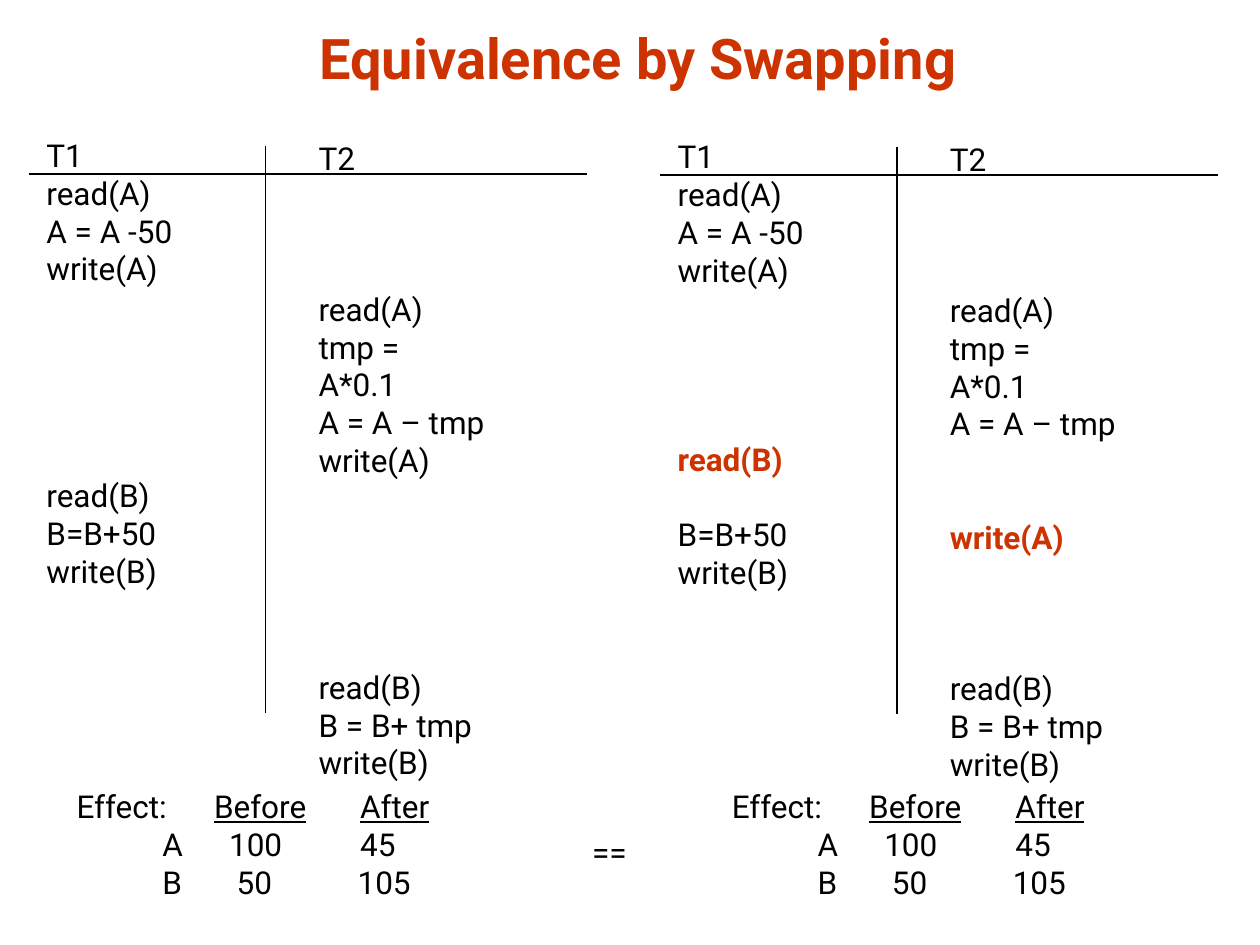
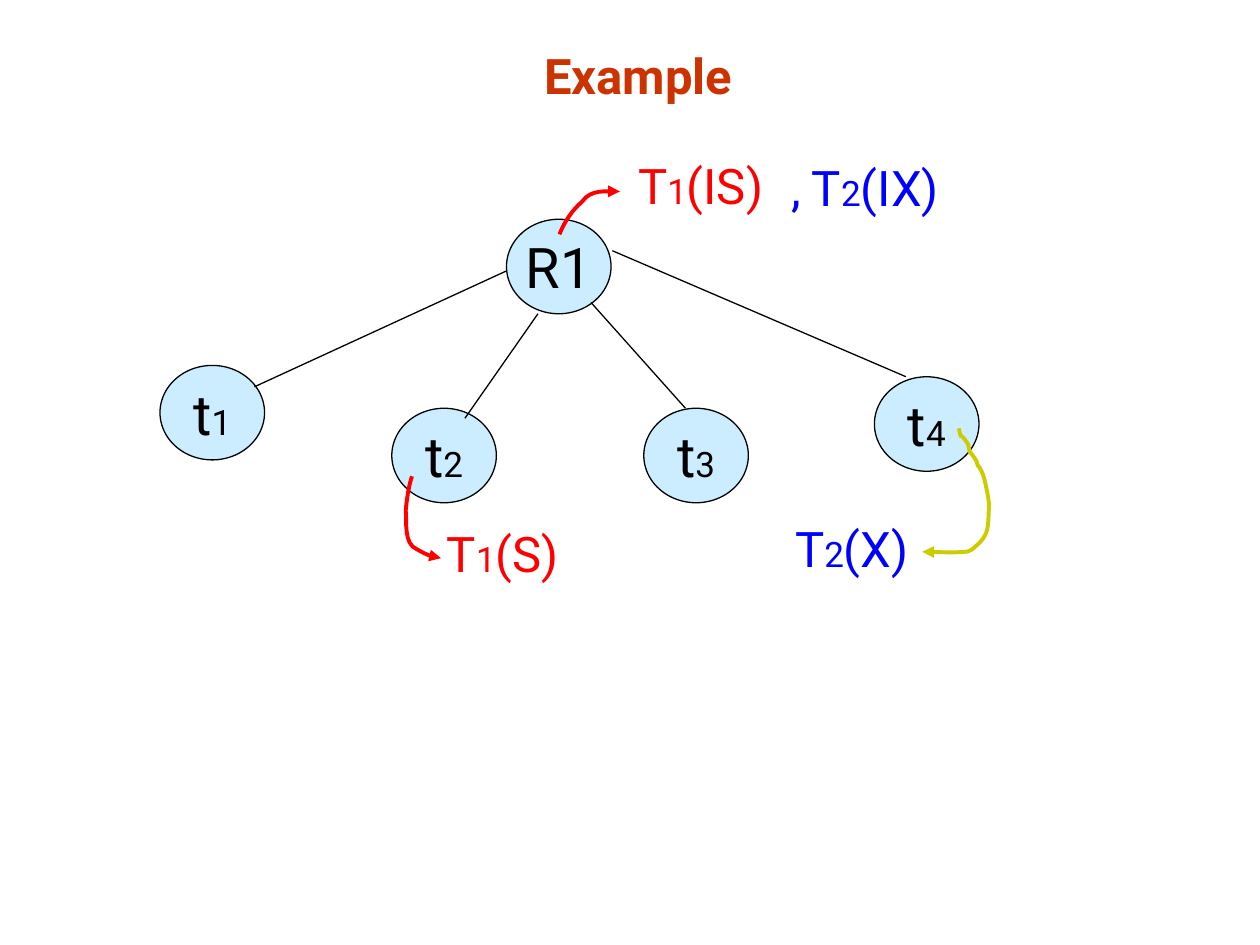
"""Builds two slides on database concurrency: swapping in schedules and intention locks."""
from dataclasses import dataclass

from lxml.etree import SubElement
from pptx import Presentation
from pptx.dml.color import RGBColor as Rgb
from pptx.enum.shapes import MSO_CONNECTOR as Connector, MSO_SHAPE as Preset
from pptx.enum.text import MSO_ANCHOR as Anchor, PP_ALIGN as Align
from pptx.oxml.ns import qn
from pptx.util import Inches, Pt


@dataclass(frozen=True)
class Theme:
    font: str = "Roboto"
    ink: Rgb = Rgb(0x00, 0x00, 0x00)
    accent: Rgb = Rgb(0xCC, 0x33, 0x00)
    node: Rgb = Rgb(0xCC, 0xEC, 0xFF)
    first: Rgb = Rgb(0xFF, 0x00, 0x00)
    second: Rgb = Rgb(0x00, 0x00, 0xFF)
    pointer: Rgb = Rgb(0xCC, 0xCC, 0x00)
    body: Pt = Pt(18)
    index: Pt = Pt(20)
    lock: Pt = Pt(28)
    big: Pt = Pt(32)
    pitch: float = 21.6
    thin: Pt = Pt(0.75)
    thick: Pt = Pt(2.25)


theme = Theme()
deck = Presentation()
deck.slide_width, deck.slide_height = Inches(10), Inches(7.5)
col, row = deck.slide_width // 100, deck.slide_height // 75
blank = deck.slide_layouts[6]


def write(slide, box, lines, align=Align.LEFT, anchor=Anchor.TOP, oval=False):
    """Add a text box or oval; each line is (rows skipped, tab stops, runs)."""
    left, top, width, height = box
    place = (round(left * col), round(top * row), round(width * col), round(height * row))
    holder = slide.shapes.add_shape(Preset.OVAL, *place) if oval else slide.shapes.add_textbox(*place)
    frame = holder.text_frame
    for name, value in {"word_wrap": not oval, "vertical_anchor": anchor}.items():
        setattr(frame, name, value)
    for number, (skipped, stops, runs) in enumerate(lines):
        paragraph = frame.add_paragraph() if number else frame.paragraphs[0]
        paragraph.alignment = align
        if stops:
            tab_list = SubElement(paragraph._p.get_or_add_pPr(), qn("a:tabLst"))
            for stop in stops:
                SubElement(tab_list, qn("a:tab"), pos=str(round(stop * col)), algn="l")
        if skipped:
            paragraph.space_before = Pt(skipped * theme.pitch)
        for text, size, color, extras in runs:
            for part, piece in enumerate(text.split("\v")):
                if part:
                    paragraph.add_line_break()
                run = paragraph.add_run()
                run.text = piece
                look = {"name": theme.font, "size": size, **extras}
                for name, value in look.items():
                    setattr(run.font, name, value)
                run.font.color.rgb = color
    return holder


def rule(slide, start_x, start_y, end_x, end_y):
    """Draw a thin straight line between two grid points."""
    line = slide.shapes.add_connector(
        Connector.STRAIGHT, round(start_x * col), round(start_y * row), round(end_x * col), round(end_y * row))
    line.line.color.rgb = theme.ink
    line.line.width = theme.thin
    SubElement(line.element.spPr, qn("a:effectLst"))


swapping, example = [deck.slides.add_slide(blank) for _ in range(2)]
for slide, heading, top, size in (
    (swapping, "Equivalence by Swapping", 1, theme.big),
    (example, "Example", 2.1, theme.lock),
):
    write(slide, (6.5, top, 88.3, 6.7), [(0, (), [(heading, size, theme.accent, {"bold": True})])],
          Align.CENTER, Anchor.BOTTOM)

transfer = [(0, "T1"), (0, "read(A)"), (0, "A = A -50"), (0, "write(A)")]
interest = [(0, "T2"), (3, "read(A)"), (0, "tmp =\vA*0.1"), (0, "A = A – tmp")]
schedules = [
    (2.3, 11.6,
     transfer + [(5, "read(B)"), (0, "B=B+50"), (0, "write(B)")],
     interest + [(0, "write(A)"), (5, "read(B)"), (0, "B = B+ tmp"), (0, "write(B)")],
     ()),
    (52.4, 11.7,
     transfer + [(4, "read(B)"), (1, "B=B+50"), (0, "write(B)")],
     interest + [(2, "write(A)"), (3, "read(B)"), (0, "B = B+ tmp"), (0, "write(B)")],
     ((4, "read(B)"), (2, "write(A)"))),
]
for left, top, first_steps, second_steps, swapped in schedules:
    for box, steps in (
        ((left + 0.4, top - 1.3, 12.5, 37), first_steps),
        ((left + 22, top - 1.1, 16, 49.1), second_steps),
    ):
        lines = []
        for skipped, step in steps:
            moved = (skipped, step) in swapped
            color = theme.accent if moved else theme.ink
            lines.append((skipped, (), [(step, theme.body, color, {"bold": moved})]))
        write(swapping, box, lines)
    rule(swapping, left, top + 2.2, left + 44.3, top + 2.2)
    rule(swapping, left + 18.8, top, left + 18.8, top + 45)

effects = [
    ((10.9, 22.5), ("Effect:\t", "Before", "\t", "After")),
    ((6.8, 12.1, 22.5), ("\tA\t100\t45",)),
    ((6.8, 12.7, 22.3), ("\tB\t50\t105",)),
]
effect_lines = [
    (0, stops, [(text, theme.body, theme.ink, {"underline": text in ("Before", "After")}) for text in texts])
    for stops, texts in effects
]
for left in (5.1, 57.1):
    write(swapping, (left, 62, 30.8, 13), effect_lines)
write(swapping, (46, 65.6, 4.9, 4), [(0, (), [("==", theme.body, theme.ink, {})])])

for left, top, letter, index in (
    (40.2, 17.4, "R1", ""),
    (12.7, 29, "t", "1"),
    (31.1, 32.4, "t", "2"),
    (51.1, 32.4, "t", "3"),
    (69.4, 29.9, "t", "4"),
):
    runs = [(text, size, theme.ink, {}) for text, size in ((letter, theme.big), (index, theme.index)) if text]
    node = write(example, (left, top, 8.3, 7.5), [(0, (), runs)], Align.CENTER, Anchor.MIDDLE, oval=True)
    node.shadow.inherit = False
    node.fill.solid()
    node.fill.fore_color.rgb = theme.node
    node.line.color.rgb = theme.ink
    node.line.width = theme.thin

for branch in (
    (40.2, 21.5, 20.2, 30.7),
    (42.7, 24.9, 36.9, 33.2),
    (46.9, 24, 54.4, 32.4),
    (48.6, 19.9, 71.9, 29.9),
):
    rule(example, *branch)

for left, top, width, owner, index, mode, color in (
    (49.4, 11.8, 12.4, "T", "1", "(IS)", theme.first),
    (34.4, 41, 11, "T", "1", "(S)", theme.first),
    (61.2, 12, 14.9, ", T", "2", "(IX)", theme.second),
    (62.1, 40.6, 11, "T", "2", "(X)", theme.second),
):
    sizes = (theme.lock, theme.index, theme.lock)
    runs = [(text, size, color, {}) for text, size in zip((owner, index, mode), sizes)]
    write(example, (left, top, width, 5.7), [(0, (), runs)], Align.CENTER, Anchor.MIDDLE)

lock_arrows = [
    (theme.first, (44.4, 18.6), [
        ((44.8, 17.6), (45.4, 16.7), (46.2, 16)),
        ((46.9, 15), (48.1, 15.2), (49.2, 15.2))]),
    (theme.first, (32.7, 37.8), [
        ((32.4, 38.7), (32.3, 39.6), (32.2, 40.5)),
        ((32.3, 41.3), (32, 43.2), (33.1, 43.6)),
        ((33.6, 43.9), (34.4, 44.3), (35, 44.3))]),
    (theme.pointer, (76.1, 34), [
        ((76.4, 35.2), (76, 34), (76.8, 35.2)),
        ((76.9, 35.4), (76.9, 35.7), (77, 35.9)),
        ((77.2, 36.1), (77.5, 36.6), (77.5, 36.6)),
        ((77.8, 37.6), (77.4, 36.4), (77.9, 37.4)),
        ((78.1, 37.8), (78.2, 38.3), (78.3, 38.8)),
        ((78.4, 39.2), (78.5, 40), (78.5, 40)),
        ((78.4, 41.8), (78.6, 42.4), (77.4, 43.4)),
        ((77.2, 43.6), (76.9, 43.8), (76.6, 43.8)),
        ((75.5, 43.9), (74.4, 43.8), (73.2, 43.8))]),
]
segments = 8
for color, start, bends in lock_arrows:
    points, here = [], start
    for bend in bends:
        for step in range(1, segments + 1):
            t = step / segments
            weights = ((1 - t) ** 3, 3 * t * (1 - t) ** 2, 3 * t ** 2 * (1 - t), t ** 3)
            x, y = [sum(w * p[axis] for w, p in zip(weights, (here, *bend))) for axis in (0, 1)]
            points.append((round(x * col), round(y * row)))
        here = bend[-1]
    outline = example.shapes.build_freeform(round(start[0] * col), round(start[1] * row))
    outline.add_line_segments(points, close=False)
    arrow = outline.convert_to_shape()
    arrow.shadow.inherit = False
    arrow.fill.background()
    arrow.line.color.rgb = color
    arrow.line.width = theme.thick
    SubElement(arrow.element.spPr.find(qn("a:ln")), qn("a:tailEnd"), type="triangle")

deck.save("out.pptx")
